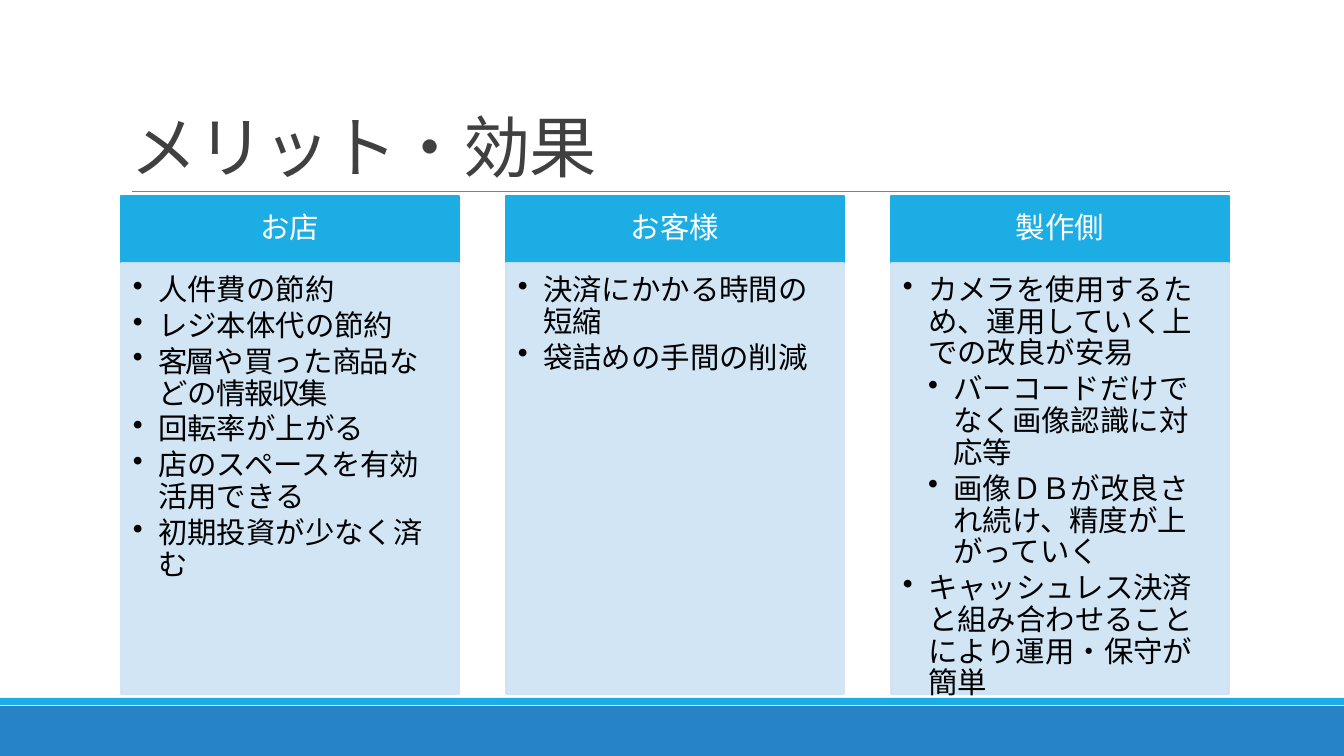
from lxml import etree
from pptx import Presentation
from pptx import util as u
from pptx.dml.color import RGBColor
from pptx.enum import shapes, text
from pptx.oxml import ns

SCALE = 12192000 / 1344
BLUE, DARK_BLUE, PALE_BLUE = "1CADE4", "2683C6", "CDE3F5"
COLUMNS = [
    ("お店", [
        (0, "人件費の節約"),
        (0, "レジ本体代の節約"),
        (0, "|客層|や買った|商品|などの|情報収集"),
        (0, "回転率が上がる"),
        (0, "店のスペースを有効活用できる"),
        (0, "初期投資が少なく済む"),
    ]),
    ("お客様", [
        (0, "決済にかかる時間の短縮"),
        (0, "袋詰めの手間の削減"),
    ]),
    ("製作側", [
        (0, "カメラを使用するため、運用していく上での改良が安易"),
        (1, "バーコードだけでなく画像認識に対応等"),
        (1, "画像ＤＢが改良され続け、精度が上がっていく"),
        (0, "キャッシュレス決済と組み合わせることにより運用・保守が簡単"),
    ]),
]


def px(length):
    return u.Emu(round(length * SCALE))


def color(value):
    return RGBColor.from_string(value)


class Slide:
    """Draws the elements of one page in a shared style."""

    def __init__(self, page, font="Calibri"):
        self.page = page
        self.font = font

    def rectangle(self, place, fill, line=None, opacity=100):
        box = self.page.shapes.add_shape(shapes.MSO_SHAPE.RECTANGLE, *map(px, place))
        box.shadow.inherit = False
        box.fill.solid()
        box.fill.fore_color.rgb = color(fill)
        if line:
            box.line.color.rgb = color(line)
            box.line.width = u.Pt(1.25)
        else:
            box.line.fill.background()
        if opacity < 100:
            for tone in box._element.spPr.iter(ns.qn("a:srgbClr")):
                etree.SubElement(tone, ns.qn("a:alpha"), val=str(opacity * 1000))
        return box

    def rule(self, left, right, top):
        line = self.page.shapes.add_connector(
            shapes.MSO_CONNECTOR.STRAIGHT, px(left), px(top), px(right), px(top))
        line.line.color.rgb = color("808080")
        line.line.width = u.Pt(0.5)
        etree.SubElement(line._element.spPr, ns.qn("a:effectLst"))

    def frame(self, box, anchor, insets):
        frame = box.text_frame
        frame.word_wrap = True
        frame.vertical_anchor = anchor
        (frame.margin_left, frame.margin_top,
         frame.margin_right, frame.margin_bottom) = map(px, insets)
        return frame

    def style(self, span, size, tone, spacing=0):
        span.font.name = self.font
        span.font.size = u.Pt(size)
        span.font.color.rgb = color(tone)
        if spacing:
            span._r.get_or_add_rPr().set("spc", str(round(spacing * 100)))

    def title(self, place, words):
        box = self.page.shapes.add_textbox(*map(px, place))
        frame = self.frame(box, text.MSO_ANCHOR.BOTTOM, (10, 5, 10, 5))
        frame.text = words
        para = frame.paragraphs[0]
        para.line_spacing = 0.85
        self.style(para.runs[0], 48, "404040", -0.5)

    def heading(self, place, words):
        box = self.rectangle(place, BLUE, BLUE)
        frame = self.frame(box, text.MSO_ANCHOR.MIDDLE, (16, 9, 16, 9))
        frame.text = words
        para = frame.paragraphs[0]
        para.alignment = text.PP_ALIGN.CENTER
        para.line_spacing = 0.9
        self.style(para.runs[0], 21, "FFFFFF")

    def bullets(self, place, items):
        box = self.rectangle(place, PALE_BLUE, PALE_BLUE, opacity=90)
        frame = self.frame(box, text.MSO_ANCHOR.TOP, (12, 12, 16, 18))
        for index, (level, words) in enumerate(items):
            para = frame.paragraphs[0] if index == 0 else frame.add_paragraph()
            self.bullet(para, level, words)

    def bullet(self, para, level, words):
        para.level = level
        para.alignment = text.PP_ALIGN.LEFT
        para.line_spacing = 0.9
        para.space_after = u.Pt(3)
        properties = para._p.get_or_add_pPr()
        properties.set("marL", str(u.Inches(0.25 * (level + 1))))
        properties.set("indent", str(u.Inches(-0.25)))
        etree.SubElement(properties, ns.qn("a:buChar"), char="•")
        for index, part in enumerate(words.split("|")):
            if part:
                span = para.add_run()
                span.text = part
                self.style(span, 21, "000000", -1.5 if index % 2 else 0)


def main():
    deck = Presentation()
    deck.slide_width, deck.slide_height = px(1344), px(756)
    slide = Slide(deck.slides.add_slide(deck.slide_layouts[6]))
    slide.rectangle((0, 706, 1344, 50), DARK_BLUE)
    slide.rectangle((0, 698, 1344, 7), BLUE)
    slide.rule(132, 1230, 191)
    slide.title((121, 31, 1109, 160), "メリット・効果")
    for index, (heading, items) in enumerate(COLUMNS):
        left = 121 + 385 * index
        slide.heading((left, 196, 338, 67), heading)
        slide.bullets((left, 263, 338, 431), items)
    deck.save("out.pptx")


if __name__ == "__main__":
    main()
